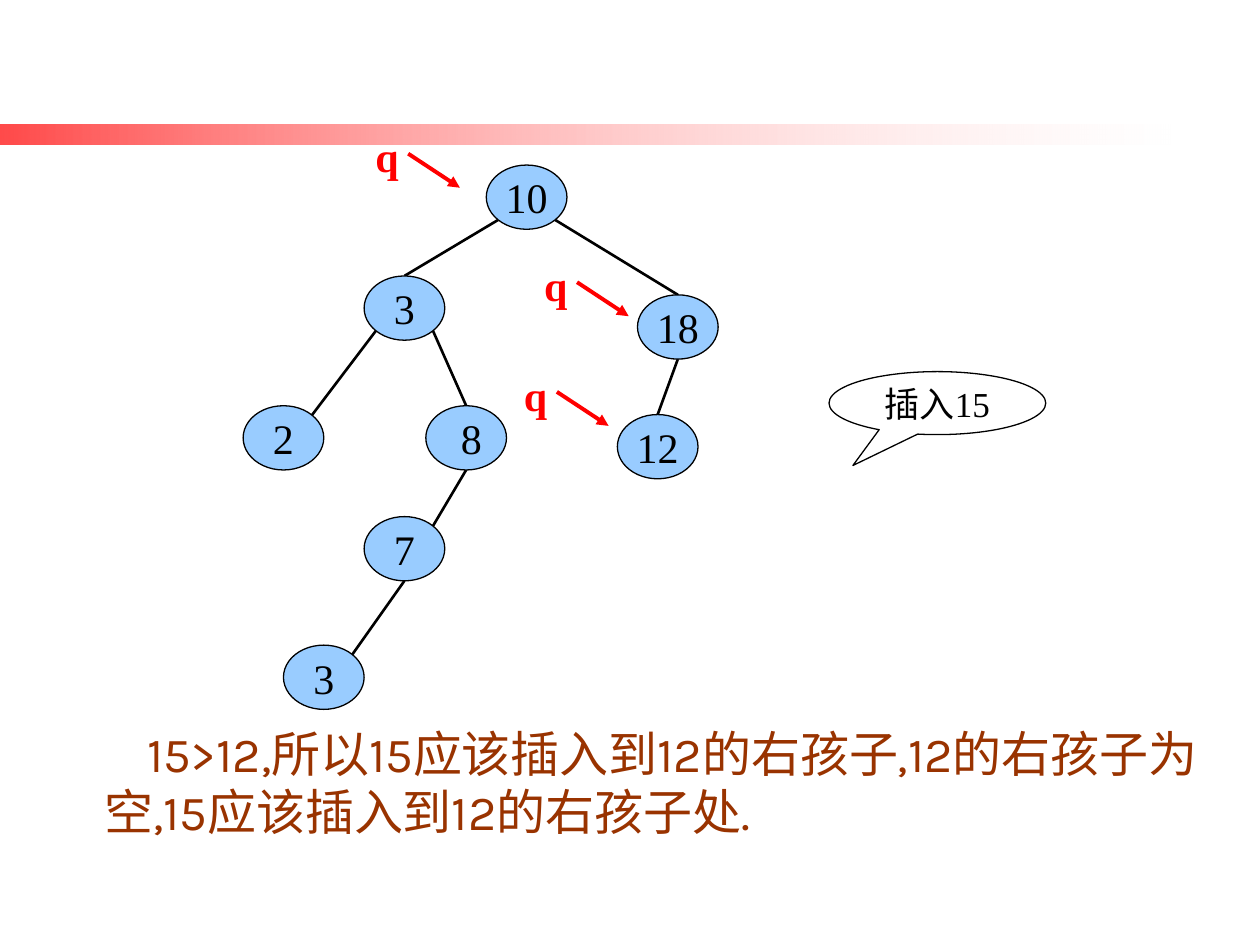
from dataclasses import dataclass
from math import cos, pi, sin

from lxml import etree
from pptx import Presentation
from pptx.dml.color import RGBColor
from pptx.enum.shapes import MSO_CONNECTOR, MSO_SHAPE
from pptx.enum.text import MSO_ANCHOR, PP_ALIGN
from pptx.oxml.ns import qn
from pptx.util import Inches, Pt

RECTANGLE = MSO_SHAPE.RECTANGLE
OVAL = MSO_SHAPE.OVAL
CALLOUT = MSO_SHAPE.OVAL_CALLOUT
STRAIGHT = MSO_CONNECTOR.STRAIGHT
MIDDLE = MSO_ANCHOR.MIDDLE
CENTER = PP_ALIGN.CENTER

TOP, BOTTOM = -pi / 2, pi / 2
LOWER_LEFT, LOWER_RIGHT, UPPER_RIGHT = 3 * pi / 4, pi / 4, -pi / 4
NODE_WIDTH, NODE_HEIGHT = 0.64, 0.51


@dataclass(frozen=True)
class Theme:
    black: str = "000000"
    white: str = "FFFFFF"
    red: str = "FF0000"
    node: str = "99CCFF"
    brown: str = "993300"
    serif: str = "Times New Roman"
    sans: str = "Karla"
    label_size: float = 24
    callout_size: float = 20
    body_size: float = 28
    outline: float = 0.75
    edge: float = 1.5
    arrow: float = 2.25


THEME = Theme()


@dataclass(frozen=True)
class Node:
    label: str
    left: float
    top: float

    def rim(self, angle: float) -> tuple[float, float]:
        return (
            self.left + NODE_WIDTH / 2 * (1 + cos(angle)),
            self.top + NODE_HEIGHT / 2 * (1 + sin(angle)),
        )


@dataclass(frozen=True)
class Edge:
    parent: str
    parent_angle: float
    child: str
    child_angle: float


NODES = {
    "root": Node("10", 3.86, 1.31),
    "left": Node("3", 2.89, 2.19),
    "right": Node("18", 5.06, 2.34),
    "left_left": Node("2", 1.93, 3.22),
    "left_right": Node(" 8", 3.38, 3.22),
    "right_left": Node("12", 4.9, 3.29),
    "seven": Node("7", 2.89, 4.1),
    "leaf": Node("3", 2.25, 5.12),
}
EDGES = [
    Edge("root", LOWER_LEFT, "left", TOP),
    Edge("root", LOWER_RIGHT, "right", TOP),
    Edge("left", LOWER_LEFT, "left_left", UPPER_RIGHT),
    Edge("left", LOWER_RIGHT, "left_right", TOP),
    Edge("right", BOTTOM, "right_left", TOP),
    Edge("left_right", BOTTOM, "seven", UPPER_RIGHT),
    Edge("seven", BOTTOM, "leaf", UPPER_RIGHT),
]
POINTERS = [(3.24, 1.22), (4.58, 2.24), (4.42, 3.11)]


def write(shape, text: str, color: str, name: str, size: float, bold: bool = False):
    paragraph = shape.text_frame.paragraphs[0]
    paragraph.text = text
    font = paragraph.runs[0].font
    for attribute, value in {"name": name, "size": Pt(size), "bold": bold}.items():
        setattr(font, attribute, value)
    font.color.rgb = RGBColor.from_string(color)
    return paragraph


def add_preset(slide, kind, left: float, top: float, width: float, height: float):
    shape = slide.shapes.add_shape(
        kind, Inches(left), Inches(top), Inches(width), Inches(height)
    )
    shape.shadow.inherit = False
    return shape


def add_bubble(slide, kind, box: tuple, text: str, size: float, fill: str = ""):
    shape = add_preset(slide, kind, *box)
    if fill:
        shape.fill.solid()
        shape.fill.fore_color.rgb = RGBColor.from_string(fill)
    else:
        shape.fill.background()
    shape.line.color.rgb = RGBColor.from_string(THEME.black)
    shape.line.width = Pt(THEME.outline)
    shape.text_frame.word_wrap = False
    shape.text_frame.vertical_anchor = MIDDLE
    write(shape, text, THEME.black, THEME.serif, size).alignment = CENTER
    return shape


def add_line(slide, start: tuple, end: tuple, color: str, width: float):
    connector = slide.shapes.add_connector(
        STRAIGHT, *(Inches(value) for value in (*start, *end))
    )
    connector.line.color.rgb = RGBColor.from_string(color)
    connector.line.width = Pt(width)
    etree.SubElement(connector._element.spPr, qn("a:effectLst"))
    return connector


def add_text_box(slide, left: float, top: float, width: float, height: float, wrap: bool):
    box = slide.shapes.add_textbox(
        Inches(left), Inches(top), Inches(width), Inches(height)
    )
    box.text_frame.word_wrap = wrap
    return box


def add_pointer(slide, left: float, top: float) -> None:
    end = (left + 0.41, top + 0.27)
    arrow = add_line(slide, (left, top), end, THEME.red, THEME.arrow)
    etree.SubElement(arrow.line._get_or_add_ln(), qn("a:tailEnd"), type="triangle")
    box = add_text_box(slide, left - 0.36, top - 0.23, 0.38, 0.5, False)
    write(box, "q", THEME.red, THEME.serif, THEME.label_size, bold=True)


def add_banner(slide) -> None:
    banner = add_preset(slide, RECTANGLE, 0, 0.99, 9.29, 0.16)
    banner.line.fill.background()
    banner.fill.gradient()
    banner.fill.gradient_angle = 0
    stops = banner.fill.gradient_stops
    for stop, color in zip(stops, (THEME.red, THEME.white)):
        stop.color.rgb = RGBColor.from_string(color)
    colors = banner._element.spPr.iter(qn("a:srgbClr"))
    for color, opacity in zip(colors, (71, 18)):
        etree.SubElement(color, qn("a:alpha"), val=str(opacity * 1000))


def add_explanation(slide) -> None:
    box = add_text_box(slide, 0.73, 5.69, 8.9, 1.1, True)
    text = "15>12,所以15应该插入到12的右孩子,12的右孩子为空,15应该插入到12的右孩子处."
    paragraph = write(box, text, THEME.brown, THEME.sans, THEME.body_size)
    paragraph._p.get_or_add_pPr().set("indent", str(Inches(0.34)))


def main() -> None:
    presentation = Presentation()
    presentation.slide_width = Inches(10)
    presentation.slide_height = Inches(7.5)
    slide = presentation.slides.add_slide(presentation.slide_layouts[6])
    add_banner(slide)
    add_explanation(slide)
    for edge in EDGES:
        start = NODES[edge.parent].rim(edge.parent_angle)
        end = NODES[edge.child].rim(edge.child_angle)
        add_line(slide, start, end, THEME.black, THEME.edge)
    for node in NODES.values():
        box = (node.left, node.top, NODE_WIDTH, NODE_HEIGHT)
        add_bubble(slide, OVAL, box, node.label, THEME.label_size, THEME.node)
    callout = add_bubble(
        slide, CALLOUT, (6.58, 2.95, 1.72, 0.5), "插入15", THEME.callout_size
    )
    callout.adjustments[0] = -0.39
    callout.adjustments[1] = 0.99
    for left, top in POINTERS:
        add_pointer(slide, left, top)
    presentation.save("out.pptx")


if __name__ == "__main__":
    main()
